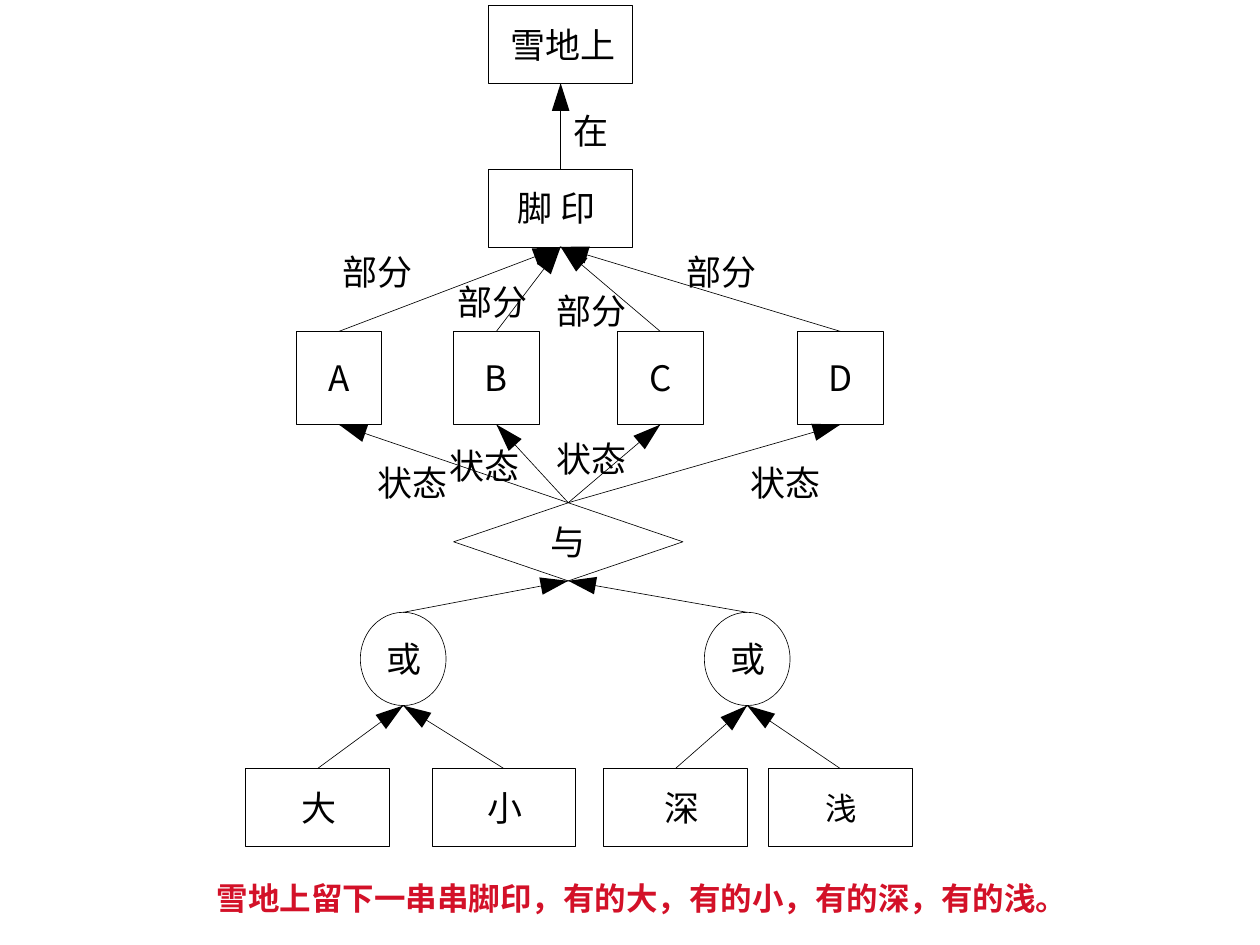
from math import hypot

from lxml import etree
from pptx import Presentation
from pptx import util as u
from pptx.dml.color import RGBColor
from pptx.enum import shapes, text
from pptx.oxml import ns

BLACK = RGBColor(0x00, 0x00, 0x00)
WHITE = RGBColor(0xFF, 0xFF, 0xFF)
RED = RGBColor(0xD3, 0x11, 0x28)
CJK_FONT = "Noto Sans CJK SC"
LINE_WIDTH = u.Pt(0.37)
HEAD_LENGTH, HEAD_HALF_WIDTH = u.Inches(0.22), u.Inches(0.07)
TOP, BOTTOM = 0, 2

RECT = shapes.MSO_SHAPE.RECTANGLE
OVAL = shapes.MSO_SHAPE.OVAL
DIAMOND = shapes.MSO_SHAPE.DIAMOND
WIDE, TALL = (1.14, 0.62), (0.68, 0.74)


def write(shape, wording, size=20, font=CJK_FONT, color=BLACK, bold=False):
    """Put one unwrapped line without insets into the shape."""
    frame = shape.text_frame
    frame.word_wrap = False
    frame.margin_left = frame.margin_right = 0
    frame.margin_top = frame.margin_bottom = 0
    para = frame.paragraphs[0]
    span = para.add_run()
    span.text = wording
    span.font.size = u.Pt(size)
    span.font.name = font
    span.font.bold = bold
    span.font.color.rgb = color
    east_asian = etree.SubElement(span.font._element, ns.qn("a:ea"))
    east_asian.set("typeface", font)
    return frame, para


def add_label(page, box, wording, **style):
    label = page.shapes.add_textbox(*map(u.Inches, box))
    write(label, wording, **style)


def add_node(page, kind, box, wording, nudge=0, **style):
    """Add an outlined node; nudge moves its centred text sideways."""
    node = page.shapes.add_shape(kind, *map(u.Inches, box))
    node.shadow.inherit = False
    node.fill.solid()
    node.fill.fore_color.rgb = WHITE
    node.line.color.rgb = BLACK
    node.line.width = LINE_WIDTH
    frame, para = write(node, wording, **style)
    frame.vertical_anchor = text.MSO_ANCHOR.MIDDLE
    para.alignment = text.PP_ALIGN.CENTER
    if nudge > 0:
        frame.margin_left = u.Inches(2 * nudge)
    else:
        frame.margin_right = u.Inches(-2 * nudge)
    return node


def add_tier(page, kind, top, size, entries):
    """Add nodes of one size in a row; an entry is (left, wording, nudge, style)."""
    return [add_node(page, kind, (left, top, *size), wording, nudge, **style)
            for left, wording, nudge, style in entries]


def add_arrowhead(page, start, tip):
    dx, dy = tip[0] - start[0], tip[1] - start[1]
    length = hypot(dx, dy)
    dx, dy = dx / length, dy / length
    base_x, base_y = tip[0] - HEAD_LENGTH * dx, tip[1] - HEAD_LENGTH * dy
    corners = [(round(base_x + side * HEAD_HALF_WIDTH * dy),
                round(base_y - side * HEAD_HALF_WIDTH * dx)) for side in (1, -1)]
    outline = page.shapes.build_freeform(*tip)
    outline.add_line_segments(corners, close=True)
    head = outline.convert_to_shape()
    head.shadow.inherit = False
    head.fill.solid()
    head.fill.fore_color.rgb = BLACK
    head.line.fill.background()


def add_arrow(page, child, parent):
    """Join the child's top to the parent's bottom, pointing at the parent."""
    start = (child.left + child.width // 2, child.top)
    tip = (parent.left + parent.width // 2, parent.top + parent.height)
    line = page.shapes.add_connector(shapes.MSO_CONNECTOR.STRAIGHT, *start, *tip)
    line.line.color.rgb = BLACK
    line.line.width = LINE_WIDTH
    etree.SubElement(line._element.spPr, ns.qn("a:effectLst"))
    line.begin_connect(child, TOP)
    if parent.auto_shape_type != OVAL:  # an oval numbers its sites differently
        line.end_connect(parent, BOTTOM)
    add_arrowhead(page, start, tip)


def add_network(page):
    place, footprint = [
        add_node(page, RECT, (3.88, top, *WIDE), wording, nudge)
        for top, wording, nudge in ((0.04, "雪地上", 0.02), (1.34, "脚 印", -0.03))]
    parts = add_tier(page, RECT, 2.63, TALL, [
        (left, wording, 0, {})
        for left, wording in zip((2.35, 3.6, 4.9, 6.33), "ABCD")])
    conjunction = add_node(page, DIAMOND, (3.6, 3.99, 1.82, 0.62), "与")
    choices = add_tier(page, OVAL, 4.86, TALL, [
        (left, "或", 0.01, {}) for left in (2.86, 5.59)])
    states = add_tier(page, RECT, 6.1, WIDE, [
        (1.95, "大", 0.01, {}), (3.43, "小", 0.01, {}), (4.79, "深", 0.05, {}),
        (6.1, "浅", 0.01, {"size": 18, "font": "Arial"})])

    links = [(footprint, place)]
    links += [(state, choices[i // 2]) for i, state in enumerate(states)]
    links += [(choice, conjunction) for choice in choices]
    links += [(conjunction, part) for part in parts]
    links += [(part, footprint) for part in parts]
    for child, parent in links:
        add_arrow(page, child, parent)


def add_relation_labels(page):
    spots = {
        "在": [(4.55, 0.87)],
        "部分": [(2.72, 1.99), (3.63, 2.23), (4.42, 2.3), (5.45, 1.99)],
        "状态": [(3, 3.66), (3.57, 3.53), (4.42, 3.47), (5.96, 3.66)],
    }
    for wording, corners in spots.items():
        for left, top in corners:
            add_label(page, (left, top, 0.28 * len(wording), 0.33), wording)


def main():
    deck = Presentation()
    deck.slide_width, deck.slide_height = u.Inches(10), u.Inches(7.5)
    page = deck.slides.add_slide(deck.slide_layouts[6])
    add_network(page)
    add_relation_labels(page)
    add_label(page, (1.72, 6.98, 6.75, 0.3),
              "雪地上留下一串串脚印，有的大，有的小，有的深，有的浅。",
              size=18, font="Arial", color=RED, bold=True)
    deck.save("out.pptx")


if __name__ == "__main__":
    main()
